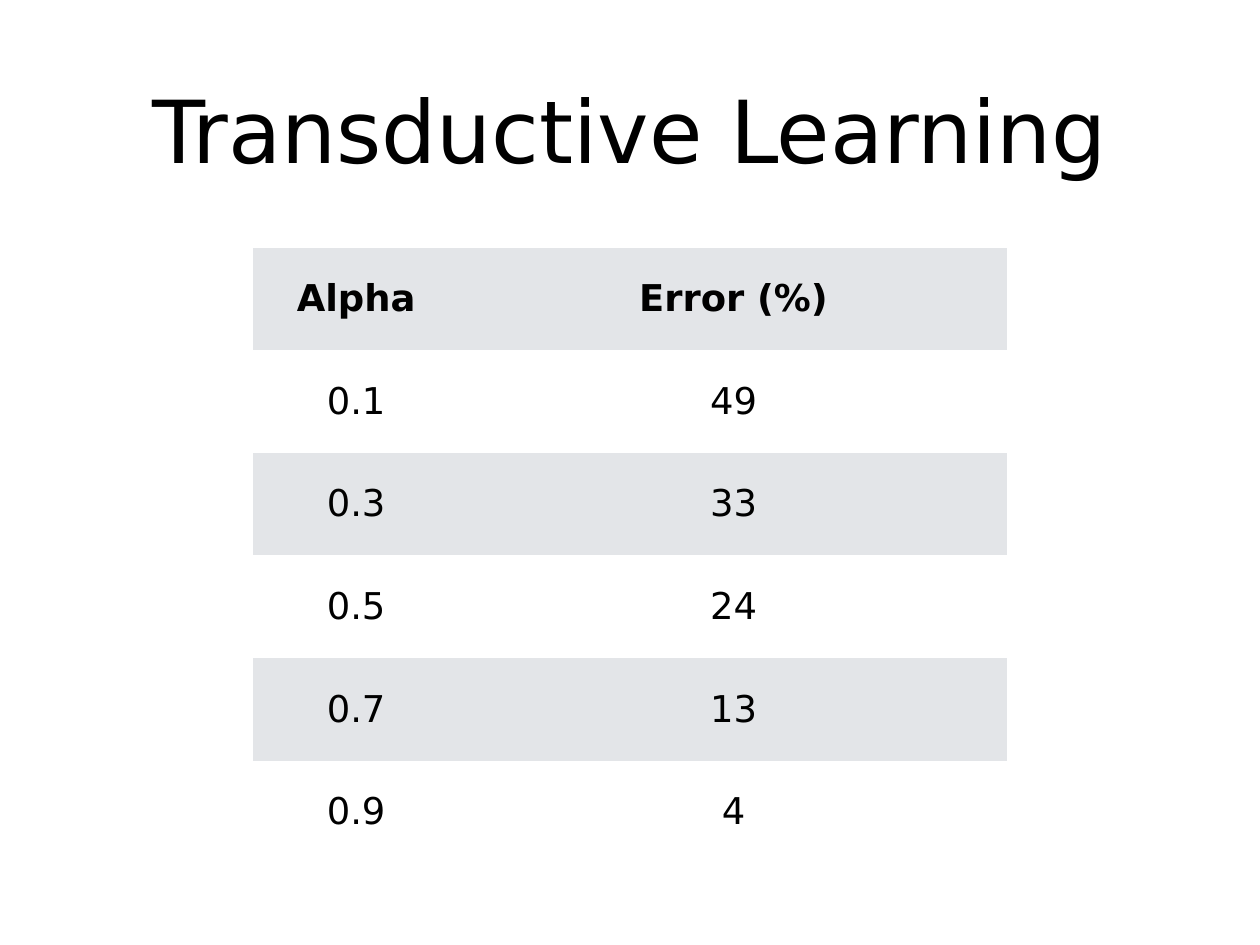
"""Build the Transductive Learning slide with its table of error rates."""
from dataclasses import dataclass

from pptx import Presentation
from pptx.dml.color import RGBColor
from pptx.enum.text import MSO_ANCHOR, MSO_AUTO_SIZE, PP_ALIGN
from pptx.oxml.ns import qn
from pptx.slide import Slide
from pptx.text.text import _Paragraph
from pptx.util import Cm, Pt

CENTER = PP_ALIGN.CENTER
MIDDLE = MSO_ANCHOR.MIDDLE
NO_AUTOFIT = MSO_AUTO_SIZE.NONE
BLACK = RGBColor(0x00, 0x00, 0x00)
WHITE = RGBColor(0xFF, 0xFF, 0xFF)
GREY = RGBColor(0xE3, 0xE5, 0xE8)
FONT = "DejaVu Sans"
PLAIN_STYLE = "{2D5ABB26-0587-4C30-8999-92F81FD0307C}"
TITLE_ONLY = 5
INSET = Cm(0.15)
MARGINS = dict.fromkeys(
    ("margin_left", "margin_top", "margin_right", "margin_bottom"), INSET
)
COLUMN_WIDTHS = (Cm(5.94), Cm(15.7))
ROW_HEIGHT = Cm(2.94)


@dataclass(frozen=True)
class Result:
    alpha: str
    error: str
    bold: bool = False


RESULTS = (
    Result("Alpha", "Error (%)", bold=True),
    Result("0.1", "49"),
    Result("0.3", "33"),
    Result("0.5", "24"),
    Result("0.7", "13"),
    Result("0.9", "4"),
)


def apply_format(target: object, values: dict[str, object]) -> None:
    for name, value in values.items():
        setattr(target, name, value)


def write_text(para: _Paragraph, text: str, size: float, bold: bool = False) -> None:
    para.alignment = CENTER
    span = para.add_run()
    span.text = text
    apply_format(span.font, {"name": FONT, "size": Pt(size), "bold": bold})
    span.font.color.rgb = BLACK


def add_title(page: Slide, text: str) -> None:
    box = page.shapes.title
    place = {"left": Cm(2.64), "top": Cm(0.71), "width": Cm(30.84), "height": Cm(5.99)}
    apply_format(box, place)
    frame = box.text_frame
    layout = {"word_wrap": True, "auto_size": NO_AUTOFIT, "vertical_anchor": MIDDLE}
    apply_format(frame, MARGINS | layout)
    write_text(frame.paragraphs[0], text, 70.6)


def add_results(page: Slide, results: tuple[Result, ...]) -> None:
    holder = page.shapes.add_table(
        len(results), len(COLUMN_WIDTHS), Cm(7.24), Cm(7.11),
        sum(COLUMN_WIDTHS), ROW_HEIGHT * len(results),
    )
    for style in holder.element.iter(qn("a:tableStyleId")):
        style.text = PLAIN_STYLE
    table = holder.table
    apply_format(table, {"first_row": False, "horz_banding": False})
    for column, width in zip(table.columns, COLUMN_WIDTHS):
        column.width = width
    for index, (row, result) in enumerate(zip(table.rows, results)):
        row.height = ROW_HEIGHT
        for cell, text in zip(row.cells, (result.alpha, result.error)):
            apply_format(cell, MARGINS | {"vertical_anchor": MIDDLE})
            cell.fill.solid()
            cell.fill.fore_color.rgb = WHITE if index % 2 else GREY
            write_text(cell.text_frame.paragraphs[0], text, 30, result.bold)


def main() -> None:
    deck = Presentation()
    apply_format(deck, {"slide_width": Cm(36.12), "slide_height": Cm(27.1)})
    page = deck.slides.add_slide(deck.slide_layouts[TITLE_ONLY])
    add_title(page, "Transductive Learning")
    add_results(page, RESULTS)
    deck.save("out.pptx")


if __name__ == "__main__":
    main()
